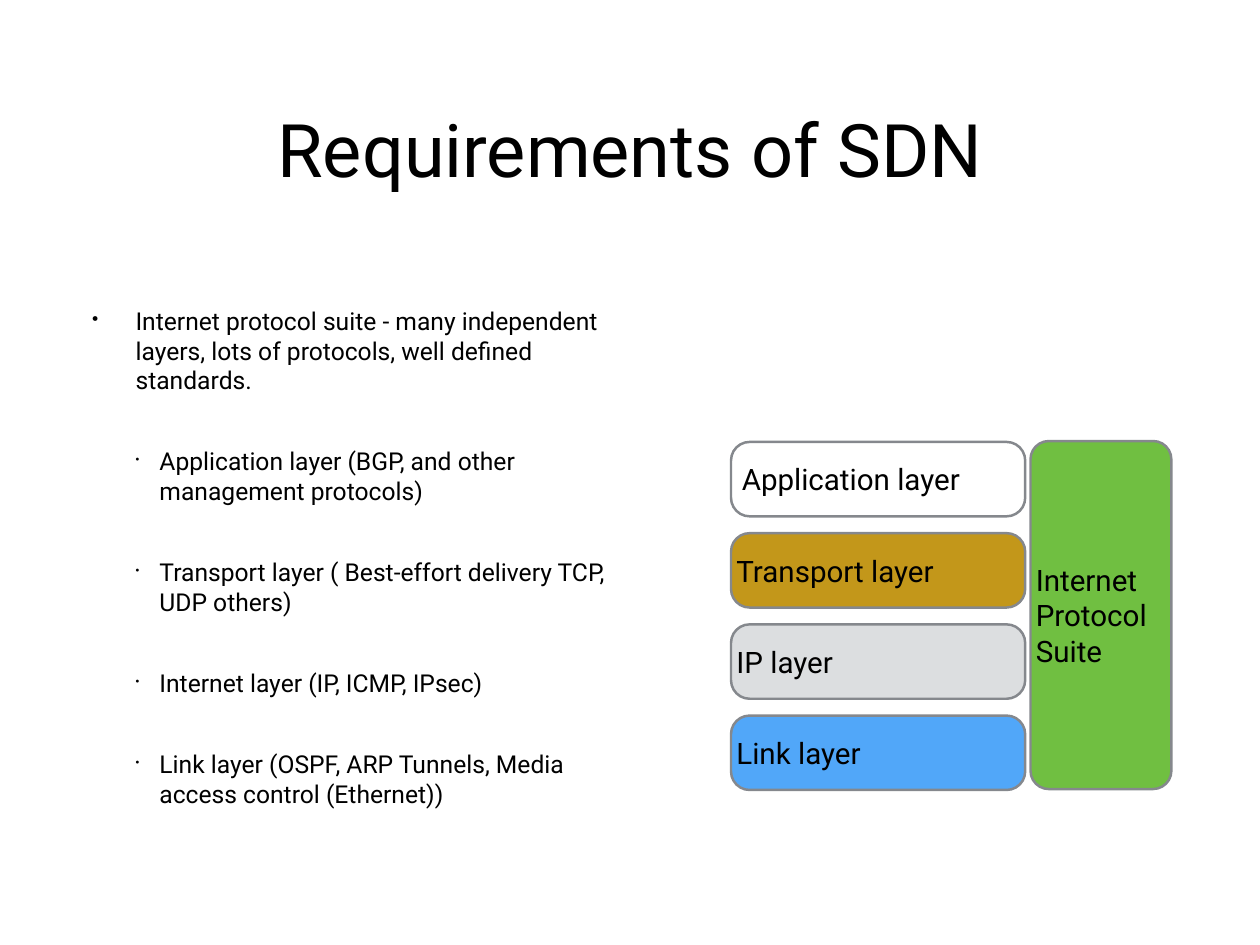
from lxml.etree import SubElement
from pptx import Presentation
from pptx.dml.color import RGBColor
from pptx.enum.shapes import MSO_SHAPE
from pptx.enum.text import MSO_ANCHOR, PP_ALIGN
from pptx.oxml.ns import qn
from pptx.util import Inches, Pt

FONT = "Roboto"
BLACK = RGBColor(0x00, 0x00, 0x00)
GRAY = RGBColor(0x85, 0x88, 0x8D)
GOLD = RGBColor(0xC3, 0x97, 0x1A)
SILVER = RGBColor(0xDC, 0xDE, 0xE0)
BLUE = RGBColor(0x51, 0xA7, 0xF9)
GREEN = RGBColor(0x70, 0xBF, 0x41)

POINTS = [
    "Internet protocol suite - many independent layers, lots of protocols, "
    "well defined standards.",
    "Application layer (BGP, and other management protocols)",
    "Transport layer ( Best-effort delivery TCP, UDP others)",
    "Internet layer (IP, ICMP, IPsec)",
    "Link layer (OSPF, ARP Tunnels, Media access control (Ethernet))",
]
# Label, fill and text inset of each layer, from top to bottom
LAYERS = [
    ("Application layer", None, 0.06),
    ("Transport layer", GOLD, 0),
    ("IP layer", SILVER, 0),
    ("Link layer", BLUE, 0),
]
LAYER_TOP, LAYER_STEP = 4.99, 1.03


def write(shape, lines, size=24, align=PP_ALIGN.LEFT, inset=0, before=0):
    """Fill the shape with one paragraph per line, centred vertically."""
    frame = shape.text_frame
    frame.word_wrap = True
    frame.vertical_anchor = MSO_ANCHOR.MIDDLE
    frame.margin_left = frame.margin_right = Inches(inset)
    frame.margin_top = frame.margin_bottom = Inches(inset)
    frame.text = "\n".join(lines)
    for para in frame.paragraphs:
        para.alignment = align
        para.space_before = Pt(before)
        font = para.runs[0].font
        font.name, font.size, font.color.rgb = FONT, Pt(size), BLACK


def add_text(slide, left, top, width, height, lines, **style):
    box = slide.shapes.add_textbox(
        Inches(left), Inches(top), Inches(width), Inches(height))
    write(box, lines, **style)
    return box


def add_bullet(para, level, indent, hang, scale):
    """Hang a bullet sized at scale percent of the text."""
    para.level = level
    props = para._p.get_or_add_pPr()
    props.set("marL", str(Inches(indent)))
    props.set("indent", str(-Inches(hang)))
    SubElement(props, qn("a:buSzPct")).set("val", str(scale * 1000))
    SubElement(props, qn("a:buChar")).set("char", "•")


def add_block(slide, left, top, width, height, lines, fill, round_by, inset=0):
    block = slide.shapes.add_shape(
        MSO_SHAPE.ROUNDED_RECTANGLE,
        Inches(left), Inches(top), Inches(width), Inches(height))
    block.adjustments[0] = round_by
    block.shadow.inherit = False
    if fill is None:
        block.fill.background()
    else:
        block.fill.solid()
        block.fill.fore_color.rgb = fill
    block.line.color.rgb = GRAY
    block.line.width = Pt(2)
    write(block, lines, inset=inset)


def main():
    deck = Presentation()
    deck.slide_width, deck.slide_height = Inches(14.22), Inches(10.67)
    slide = deck.slides.add_slide(deck.slide_layouts[6])

    add_text(slide, 1.04, 0.49, 12.14, 2.36, ["Requirements of SDN"],
             size=60, align=PP_ALIGN.CENTER)

    body = add_text(slide, 1.04, 2.85, 5.83, 6.88, POINTS, size=20, before=42)
    first, *rest = body.text_frame.paragraphs
    add_bullet(first, 0, 0.49, 0.49, 75)
    for para in rest:
        add_bullet(para, 1, 0.76, 0.27, 45)

    for row, (label, fill, inset) in enumerate(LAYERS):
        add_block(slide, 8.25, LAYER_TOP + row * LAYER_STEP, 3.32, 0.84,
                  [label], fill, 0.25, inset)
    add_block(slide, 11.63, 4.98, 1.59, 3.93,
              ["Internet", "Protocol", "Suite"], GREEN, 0.13)

    deck.save("out.pptx")


if __name__ == "__main__":
    main()
